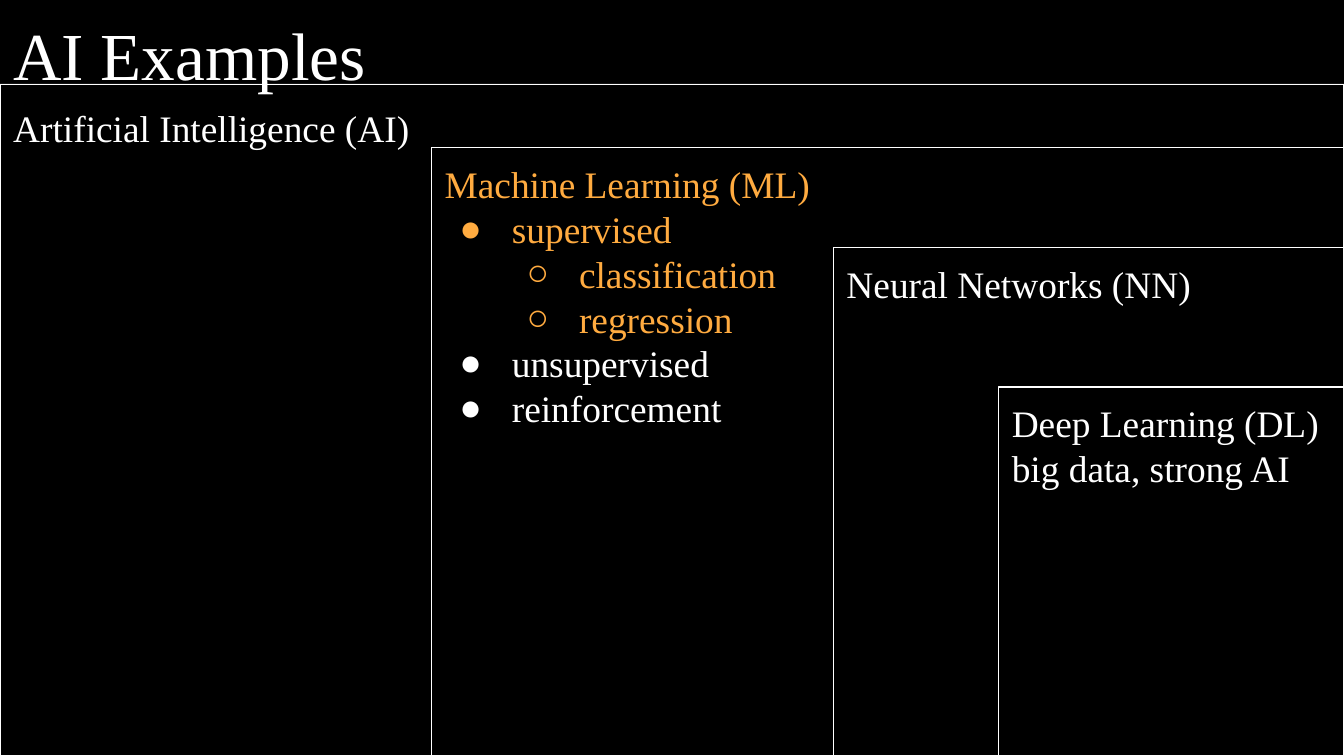
from lxml import etree
from pptx import Presentation
from pptx.dml.color import RGBColor
from pptx.enum.shapes import MSO_SHAPE
from pptx.enum.text import MSO_ANCHOR, PP_ALIGN
from pptx.oxml.ns import qn
from pptx.util import Inches, Pt

COLORS = {"page": "212121", "panel": "000000", "text": "FFFFFF", "accent": "FFAB40"}
FONT = "Times New Roman"
WIDTH = 10
HEIGHT = WIDTH * 9 / 16
TITLE_HEIGHT = 0.62
BULLETS = "●○"

PANELS = [
    (0, 0.63, 1.15, [("Artificial Intelligence (AI)", None, "text")]),
    (3.21, 1.1, 1, [
        ("Machine Learning (ML)", None, "accent"),
        ("supervised", 0, "accent"),
        ("classification", 1, "accent"),
        ("regression", 1, "accent"),
        ("unsupervised", 0, "text"),
        ("reinforcement", 0, "text"),
    ]),
    (6.2, 1.84, 1, [("Neural Networks (NN)", None, "text")]),
    (7.43, 2.88, 1, [
        ("Deep Learning (DL)", None, "text"),
        ("big data, strong AI", None, "text"),
    ]),
]


def color(name):
    """Return the named colour."""
    return RGBColor.from_string(COLORS[name])


def add_bullet(paragraph, level, color_name):
    """Give a paragraph the bullet and hanging indent of its level."""
    paragraph.level = level
    properties = paragraph._p.get_or_add_pPr()
    properties.set("marL", str(Inches(0.5 * (level + 1))))
    properties.set("indent", str(Inches(-0.39)))
    bullet_color = etree.SubElement(properties, qn("a:buClr"))
    etree.SubElement(bullet_color, qn("a:srgbClr"), val=COLORS[color_name])
    etree.SubElement(properties, qn("a:buFont"), typeface=FONT)
    etree.SubElement(properties, qn("a:buChar"), char=BULLETS[level])


def add_box(slide, left, top, width, height, lines, size, spacing):
    """Add a black rectangle with its lines of text starting at the top left."""
    shape = slide.shapes.add_shape(
        MSO_SHAPE.RECTANGLE, Inches(left), Inches(top), Inches(width), Inches(height))
    shape.shadow.inherit = False
    shape.fill.solid()
    shape.fill.fore_color.rgb = color("panel")
    frame = shape.text_frame
    frame.word_wrap = True
    frame.vertical_anchor = MSO_ANCHOR.TOP
    frame.margin_left = frame.margin_right = Inches(0.1)
    frame.margin_top = frame.margin_bottom = Inches(0.1)
    frame.text = "\n".join(text for text, level, color_name in lines)
    for paragraph, (text, level, color_name) in zip(frame.paragraphs, lines):
        paragraph.alignment = PP_ALIGN.LEFT
        paragraph.line_spacing = spacing
        if level is not None:
            add_bullet(paragraph, level, color_name)
        font = paragraph.runs[0].font
        font.name = FONT
        font.size = Pt(size)
        font.color.rgb = color(color_name)
    return shape


def add_panel(slide, left, top, spacing, lines):
    """Add an outlined panel reaching to the lower right corner of the slide."""
    panel = add_box(slide, left, top, WIDTH - left, HEIGHT - top, lines, 20, spacing)
    panel.line.color.rgb = color("text")
    panel.line.width = Pt(0.75)


def add_title(slide, left, top, width, height):
    """Add the title band."""
    lines = [("AI Examples", None, "text")]
    title = add_box(slide, left, top, width, height, lines, 36, 1)
    title.line.fill.background()


def main():
    """Build the slide and save it."""
    presentation = Presentation()
    presentation.slide_width = Inches(WIDTH)
    presentation.slide_height = Inches(HEIGHT)
    slide = presentation.slides.add_slide(presentation.slide_layouts[6])
    slide.background.fill.solid()
    slide.background.fill.fore_color.rgb = color("page")
    for panel in PANELS:
        add_panel(slide, *panel)
    add_title(slide, 0, 0, WIDTH, TITLE_HEIGHT)
    presentation.save("out.pptx")


if __name__ == "__main__":
    main()
